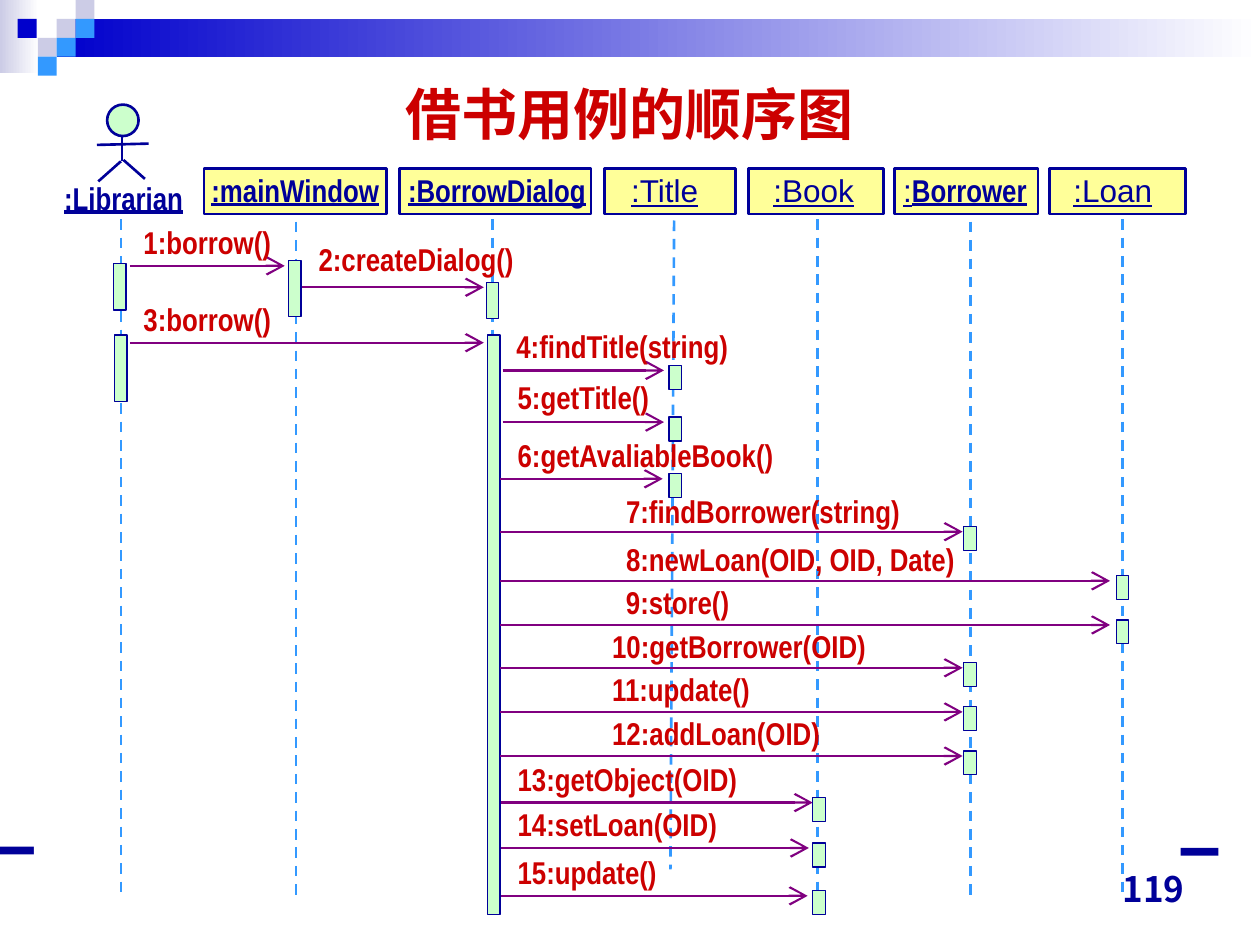
from pptx import Presentation
from pptx import util as u
from pptx.dml.color import RGBColor
from pptx.enum import dml, shapes, text
from pptx.oxml.ns import qn
from lxml import etree

INK = {"navy": "000099", "blue": "0000CC", "sky": "3399FF", "pale": "CCCCE6",
       "white": "FFFFFF", "red": "CC0000", "cream": "FFFF99",
       "mint": "CCFFCC", "plum": "800080"}
SLIM, WIDE = "Arial Narrow", "Arial"
SLACK = 0.04

FADES = [(0, 0, 0.31, 0.58, "pale"), (0.45, 0.15, 9.55, 0.3, "blue")]
TILES = [(0.45, 0.15, "pale"), (0.6, 0, "pale"), (0.6, 0.15, "sky"),
         (0.3, 0.3, "pale"), (0.14, 0.15, "blue"), (0.45, 0.3, "sky"),
         (0.3, 0.45, "sky")]

# box left, box width, label left, label width, label runs
ROLES = [
    (1.62, 1.45, 1.58, 1.53, [(":mainWindow", SLIM, True)]),
    (3.17, 1.52, 3.14, 1.61, [(":BorrowDialog", SLIM, True)]),
    (4.8, 1.04, 4.91, 0.74, [(":Title", WIDE, False)]),
    (5.94, 1.07, 6.04, 0.84, [(":Book", WIDE, False)]),
    (7.1, 1.14, 7.07, 1.18, [(":", WIDE, False), ("Borrower", SLIM, True)]),
    (8.33, 1.08, 8.42, 0.82, [(":Loan", WIDE, False)]),
]
LIMBS = [(0.77, 1.15, 1.18, 1.14), (0.97, 1.07, 0.97, 1.28),
         (0.96, 1.28, 0.78, 1.44), (0.98, 1.27, 1.15, 1.42)]
LIVES = [(0.96, 1.74, 0.96, 7.1), (2.35, 1.76, 2.35, 7.14),
         (3.91, 1.74, 3.91, 6.47), (5.35, 1.75, 5.32, 7.11),
         (6.49, 1.74, 6.49, 7.07), (8.91, 1.74, 8.91, 7.12),
         (7.7, 1.76, 7.7, 7.11)]
BARS = [(0.9, 2.09, 0.37), (2.29, 2.07, 0.44), (3.86, 2.24, 0.29),
        (0.91, 2.66, 0.53), (3.87, 2.66, 4.6)]
TITLE, BOOK, READER, LOAN = 5.31, 6.45, 7.65, 8.86

# label, label left, top, width, arrow start, end, height, target bar left
CALLS = [
    ("1:borrow()", 1.04, 1.72, 1.21, 1.03, 2.26, 2.11, None),
    ("2:createDialog()", 2.43, 1.86, 1.75, 2.4, 3.84, 2.28, None),
    ("3:borrow()", 1.04, 2.33, 1.21, 1.03, 3.84, 2.72, None),
    ("4:findTitle(string)", 4, 2.55, 1.88, 3.99, 5.27, 2.94, TITLE),
    ("5:getTitle()", 4.01, 2.95, 1.25, 3.99, 5.27, 3.35, TITLE),
    ("6:getAvaliableBook()", 4.01, 3.41, 2.24, 3.97, 5.26, 3.8, TITLE),
    ("7:findBorrower(string)", 4.87, 3.86, 2.37, 3.97, 7.64, 4.22, READER),
    ("8:newLoan(OID, OID, Date)", 4.87, 4.24, 2.81, 3.97, 8.81, 4.61, LOAN),
    ("9:store()", 4.87, 4.58, 1.02, 3.97, 8.81, 4.96, LOAN),
    ("10:getBorrower(OID)", 4.76, 4.93, 2.21, 3.97, 7.64, 5.3, READER),
    ("11:update()", 4.76, 5.27, 1.3, 3.97, 7.64, 5.65, READER),
    ("12:addLoan(OID)", 4.76, 5.62, 1.85, 3.97, 7.64, 6, READER),
    ("13:getObject(OID)", 4.01, 5.98, 1.94, 3.98, 6.45, 6.37, BOOK),
    ("14:setLoan(OID)", 4.01, 6.34, 1.78, 3.98, 6.42, 6.73, BOOK),
    ("15:update()", 4.01, 6.72, 1.3, 3.98, 6.41, 7.11, BOOK),
]

deck = Presentation()
deck.slide_width, deck.slide_height = u.Inches(10), u.Inches(7.5)
slide = deck.slides.add_slide(deck.slide_layouts[6])


def rgb(name):
    return RGBColor.from_string(INK[name])


def block(x, y, w, h, fill, edge=0, kind=shapes.MSO_SHAPE.RECTANGLE):
    item = slide.shapes.add_shape(kind, *map(u.Inches, (x, y, w, h)))
    item.shadow.inherit = False
    item.fill.solid()
    item.fill.fore_color.rgb = rgb(fill)
    if edge:
        item.line.color.rgb = rgb("navy")
        item.line.width = u.Pt(edge)
    else:
        item.line.fill.background()
    return item


def fade(x, y, w, h, hue):
    fill = block(x, y, w, h, hue).fill
    fill.gradient()
    fill.gradient_angle = 0
    for stop, name, pos in zip(fill.gradient_stops, (hue, "white"), (0, 1)):
        stop.color.rgb = rgb(name)
        stop.position = pos


def line(x1, y1, x2, y2, hue, size=1.5, dash=False, head=False):
    item = slide.shapes.add_connector(
        shapes.MSO_CONNECTOR.STRAIGHT, *map(u.Inches, (x1, y1, x2, y2)))
    item.line.color.rgb = rgb(hue)
    item.line.width = u.Pt(size)
    if dash:
        item.line.dash_style = dml.MSO_LINE.DASH
    if head:
        etree.SubElement(item.line._get_or_add_ln(), qn("a:tailEnd"),
                         type="arrow", w="lg", len="lg")
    etree.SubElement(item._element.spPr, qn("a:effectLst"))


def label(x, y, w, h, runs, hue, size=18, under=False, wrap=False,
          align=text.PP_ALIGN.LEFT, anchor=text.MSO_ANCHOR.TOP):
    room = w if wrap else w + SLACK
    frame = slide.shapes.add_textbox(*map(u.Inches, (x, y, room, h))).text_frame
    frame.word_wrap = wrap
    if not wrap:
        frame.auto_size = text.MSO_AUTO_SIZE.SHAPE_TO_FIT_TEXT
    frame.vertical_anchor = anchor
    para = frame.paragraphs[0]
    para.alignment = align
    for words, face, bold in runs:
        run = para.add_run()
        run.text = words
        font = run.font
        font.name, font.size, font.bold = face, u.Pt(size), bold
        font.color.rgb = rgb(hue)
        if under:
            font.underline = True


for part in FADES:
    fade(*part)
for x, y, hue in TILES:
    block(x, y, 0.15, 0.15, hue)
line(0, 6.75, 9.67, 6.76, "navy", 4.5)
label(0.5, 0.5, 9, 0.79, [("借书用例的顺序图", WIDE, True)], "red", 32, wrap=True,
      align=text.PP_ALIGN.CENTER, anchor=text.MSO_ANCHOR.MIDDLE)
block(0.27, 6.56, 9.1, 0.24, "white")

for x, w, tx, tw, runs in ROLES:
    block(x, 1.34, w, 0.36, "cream", 1.5)
    label(tx, 1.31, tw, 0.4, runs, "navy", under=True)

block(0.85, 0.83, 0.25, 0.25, "mint", 1.5, shapes.MSO_SHAPE.OVAL)
for limb in LIMBS:
    line(*limb, "navy")
label(0.41, 1.37, 1.14, 0.4, [(":Librarian", SLIM, True)], "navy", under=True)

for life in LIVES:
    line(*life, "sky", dash=True)
block(4.3, 6.9, 1.38, 0.41, "white")
for x, y, h in BARS:
    block(x, y, 0.1, h, "mint", 0.75)

for words, x, top, w, start, end, y, bar in CALLS:
    line(start, y, end, y, "plum", 1.25, head=True)
    label(x, top, w, 0.4, [(words, SLIM, True)], "red")
    if bar:
        block(bar, y - 0.04, 0.1, 0.19, "mint", 0.75)

label(7.17, 6.77, 2.33, 0.5, [("119", "Noto Sans CJK JP", True)], "navy", 20,
      wrap=True, align=text.PP_ALIGN.RIGHT, anchor=text.MSO_ANCHOR.BOTTOM)

deck.save("out.pptx")
